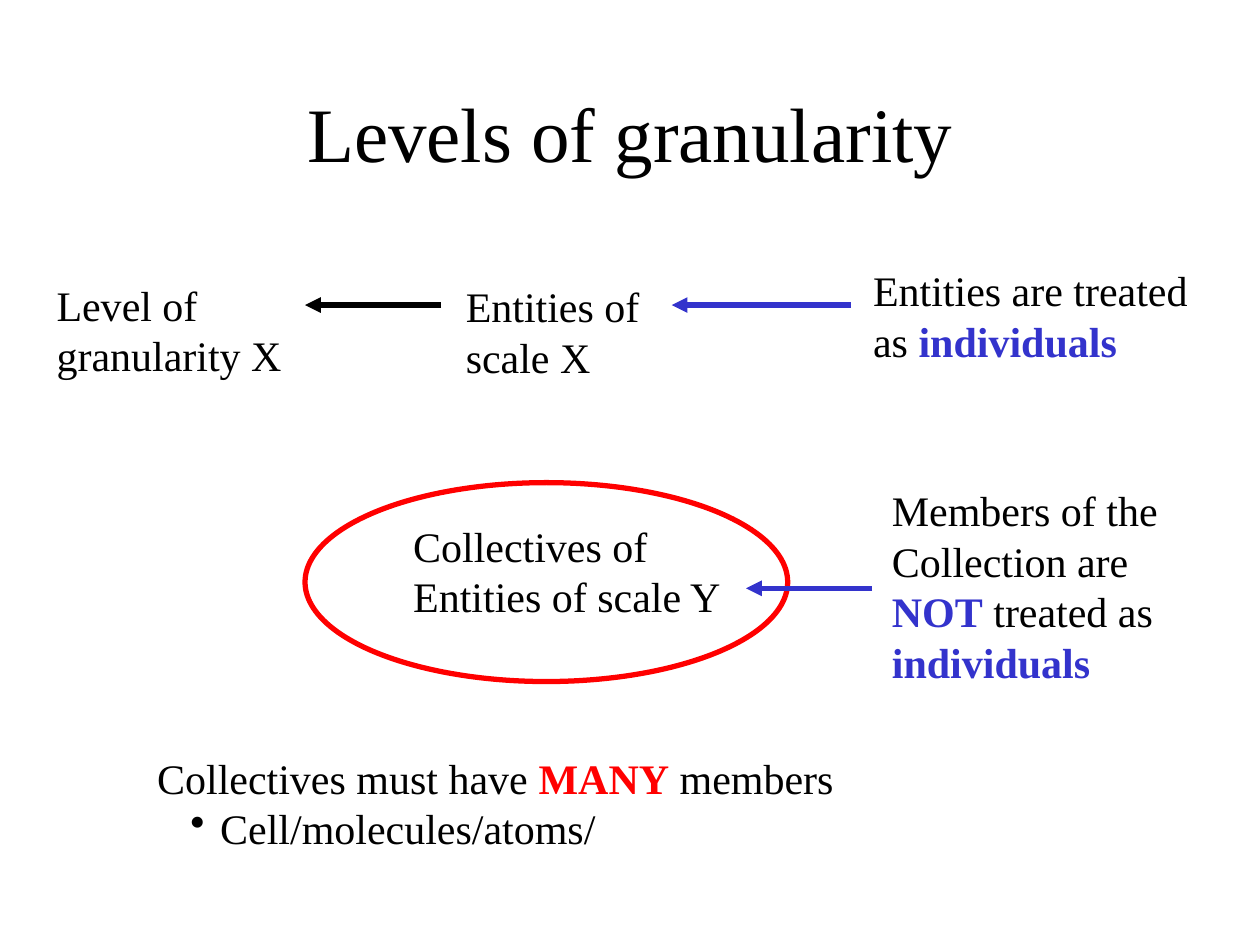
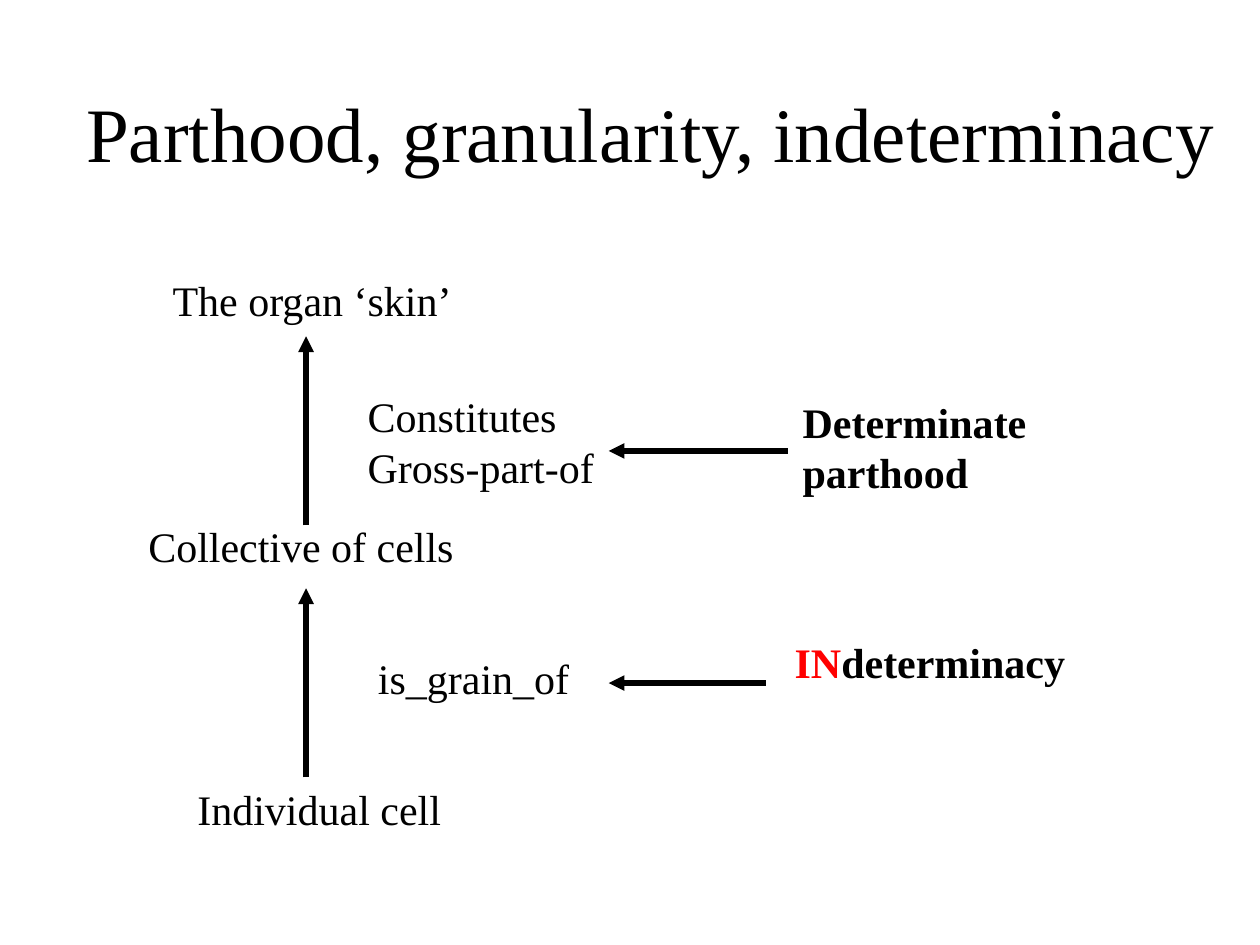
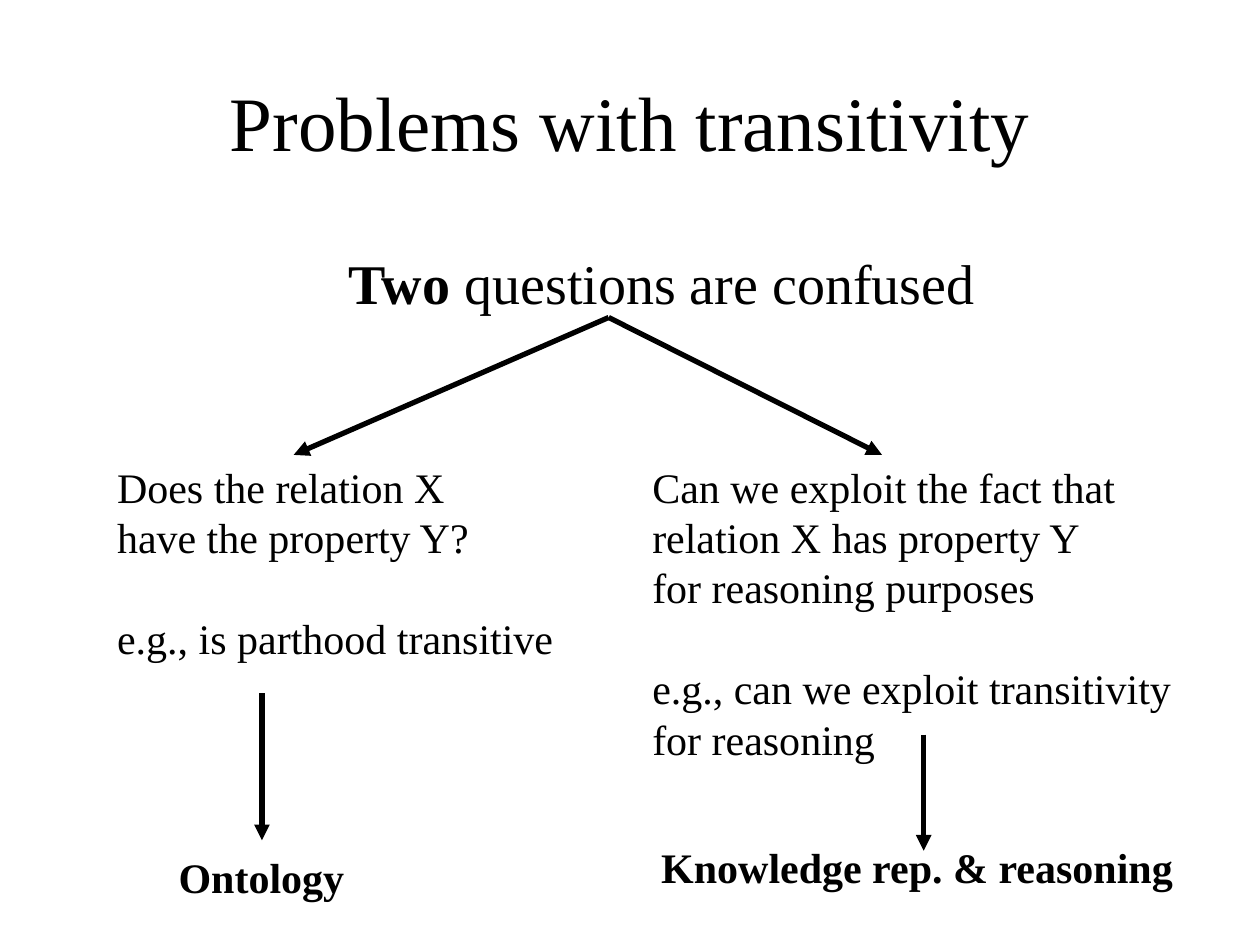
"""Build three slides on granularity, parthood and transitivity."""
import lxml.etree
import pptx
import pptx.dml.color
import pptx.enum.shapes
import pptx.enum.text
import pptx.oxml.ns
import pptx.util

Cm, Pt = pptx.util.Cm, pptx.util.Pt
qn = pptx.oxml.ns.qn
COLOURS = {"black": "000000", "blue": "3333CC", "red": "FF0000"}
FORMATS = {
    "plain": ("black", False),
    "bold": ("black", True),
    "blue": ("blue", True),
    "red": ("red", True),
}
LINE_HEIGHT = 1.2
ARROW_WIDTH = Pt(3)


def add_words(slide, left, top, width, lines, size=24, gap_before=None, height=None):
    """Each line is a string or a list of (text, format) runs."""
    pitch = Pt(size * LINE_HEIGHT)
    count = len(lines) + (gap_before is not None)
    words = slide.shapes.add_textbox(
        Cm(left), Cm(top), Cm(width), height or pitch * count + Cm(0.25))
    frame = words.text_frame
    frame.word_wrap = True
    if height is None:
        frame.margin_right = 0
    for index, line in enumerate(lines):
        paragraph = frame.paragraphs[0] if index == 0 else frame.add_paragraph()
        paragraph.line_spacing = pitch
        if index == gap_before:
            paragraph.space_before = pitch
        for text, style in [(line, "plain")] if isinstance(line, str) else line:
            run = paragraph.add_run()
            run.text = text
            colour, bold = FORMATS[style]
            for name, value in {"name": "Times New Roman", "size": Pt(size), "bold": bold}.items():
                setattr(run.font, name, value)
            run.font.color.rgb = pptx.dml.color.RGBColor.from_string(COLOURS[colour])
    return frame


def add_arrow(slide, x1, y1, x2, y2, colour="black"):
    arrow = slide.shapes.add_connector(
        pptx.enum.shapes.MSO_CONNECTOR.STRAIGHT, Cm(x1), Cm(y1), Cm(x2), Cm(y2))
    arrow.line.width = ARROW_WIDTH
    arrow.line.color.rgb = pptx.dml.color.RGBColor.from_string(COLOURS[colour])
    properties = arrow.line._get_or_add_ln()
    lxml.etree.SubElement(properties, qn("a:tailEnd"), type="triangle")
    lxml.etree.SubElement(properties.getparent(), qn("a:effectLst"))


deck = pptx.Presentation()
deck.slide_width, deck.slide_height = Cm(25.4), Cm(19.05)

slides = []
for heading, left, top, width in [
    ("Levels of granularity", 1.91, 1.07, 21.59),
    ("Parthood, granularity, indeterminacy", 0.84, 1.07, 24.56),
    ("Problems with transitivity", 1.91, 0.84, 21.59),
]:
    slide = deck.slides.add_slide(deck.slide_layouts[6])
    title = add_words(slide, left, top, width, [heading], size=44, height=Cm(3.18))
    title.vertical_anchor = pptx.enum.text.MSO_ANCHOR.MIDDLE
    title.paragraphs[0].alignment = pptx.enum.text.PP_ALIGN.CENTER
    slides.append(slide)
levels, parthood, transitivity = slides

for left, top, width, lines in [
    (9.14, 5.54, 4.22, ["Entities of", "scale X"]),
    (8.08, 10.36, 6.73, ["Collectives of", "Entities of scale Y"]),
    (0.89, 5.51, 5.03, ["Level of", "granularity X"]),
    (17.35, 5.21, 6.86, ["Entities are treated", [("as ", "plain"), ("individuals", "blue")]]),
    (17.73, 9.65, 5.87, ["Members of the", "Collection are",
                         [("NOT", "blue"), (" treated as", "plain")],
                         [("individuals", "blue")]]),
]:
    add_words(levels, left, top, width, lines)

collective = levels.shapes.add_shape(
    pptx.enum.shapes.MSO_SHAPE.OVAL, Cm(6.15), Cm(9.73), Cm(9.73), Cm(4.01))
collective.shadow.inherit = False
collective.fill.background()
collective.line.width = ARROW_WIDTH
collective.line.color.rgb = pptx.dml.color.RGBColor.from_string(COLOURS["red"])

add_arrow(levels, 8.89, 6.15, 6.15, 6.15)
add_arrow(levels, 17.15, 6.15, 13.54, 6.15, "blue")
add_arrow(levels, 17.58, 11.86, 15.04, 11.86, "blue")

members = add_words(levels, 2.92, 15.04, 14.15, [
    [("Collectives must have ", "plain"), ("MANY", "red"), (" members", "plain")],
    "Cell/molecules/atoms/",
])
example = members.paragraphs[1]._p.get_or_add_pPr()
for name, value in {"marL": Cm(1.27), "indent": -Cm(0.6)}.items():
    example.set(name, str(int(value)))
lxml.etree.SubElement(example, qn("a:buChar"), char="•")

for left, top, width, lines in [
    (3.73, 15.67, 5.41, ["Individual cell"]),
    (2.74, 10.36, 6.65, ["Collective of cells"]),
    (3.23, 5.41, 6.15, ["The organ ‘skin’"]),
    (7.16, 7.75, 5.05, ["Constitutes", "Gross-part-of"]),
    (7.37, 13.03, 4.37, ["is_grain_of"]),
    (15.93, 7.87, 5.23, [[("Determinate", "bold")], [("parthood", "bold")]]),
    (15.77, 12.7, 6.17, [[("IN", "red"), ("determinacy", "bold")]]),
]:
    add_words(parthood, left, top, width, lines)

for ends in [
    (6.17, 10.59, 6.17, 6.78),
    (6.17, 15.67, 6.17, 11.86),
    (15.88, 9.09, 12.27, 9.09),
    (15.44, 13.77, 12.27, 13.77),
]:
    add_arrow(parthood, *ends)

add_words(transitivity, 6.78, 4.88, 13.21,
          [[("Two", "bold"), (" questions are confused", "plain")]], size=32)
add_words(transitivity, 2.11, 9.17, 9.3, [
    "Does the relation X", "have the property Y?", "e.g., is parthood transitive",
], gap_before=2)
add_words(transitivity, 12.9, 9.17, 10.97, [
    "Can we exploit the fact that", "relation X has property Y", "for reasoning purposes",
    "e.g., can we exploit transitivity", "for reasoning",
], gap_before=3)
add_words(transitivity, 3.35, 17.04, 3.84, [[("Ontology", "bold")]])
add_words(transitivity, 13.08, 16.84, 10.85, [[("Knowledge rep. & reasoning", "bold")]])

for ends in [
    (12.27, 6.4, 5.92, 9.17),
    (12.27, 6.4, 17.78, 9.17),
    (5.28, 13.97, 5.28, 16.94),
    (18.62, 14.81, 18.62, 17.15),
]:
    add_arrow(transitivity, *ends)

deck.save("out.pptx")
